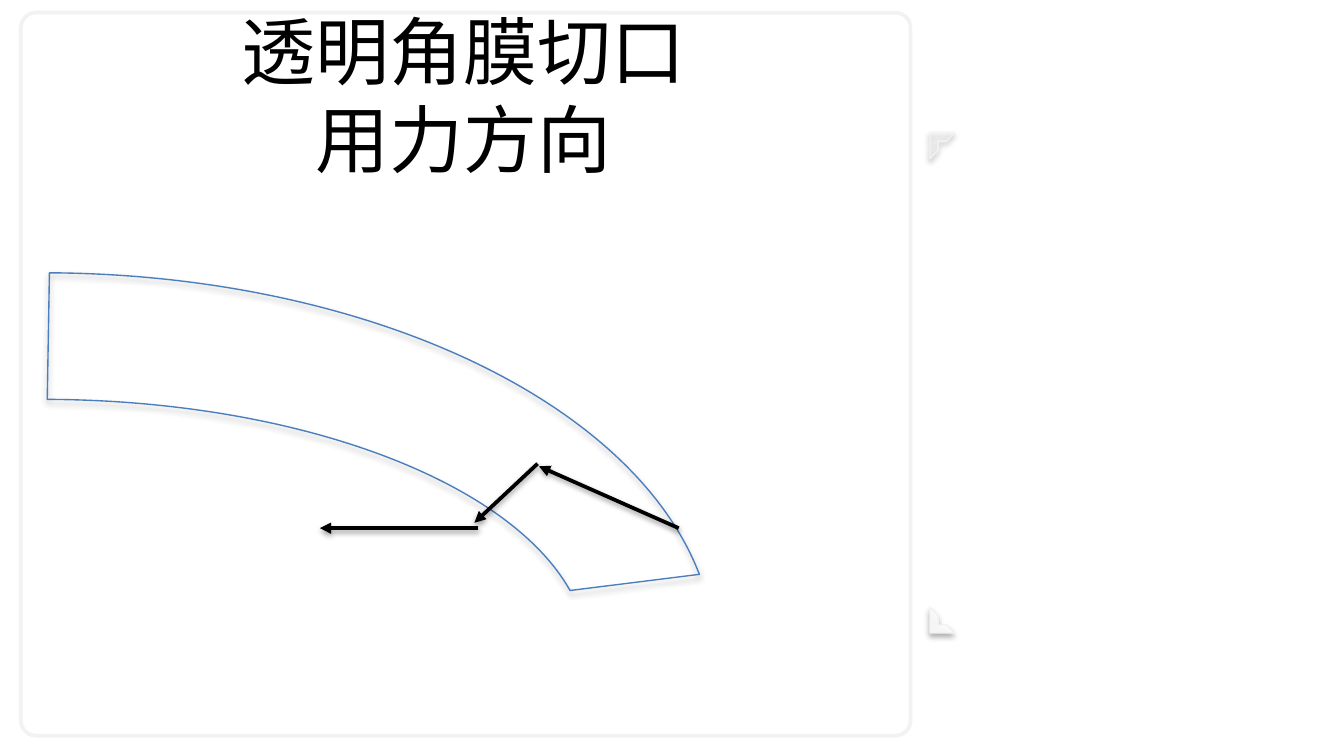
from dataclasses import dataclass
from itertools import starmap

from lxml import etree
from pptx import Presentation
from pptx import util as u
from pptx.dml import color
from pptx.enum import shapes, text
from pptx.oxml import ns

CELL = 0.1  # inches per grid column and row
COLS, ROWS = 100, 56.25


@dataclass(frozen=True)
class Theme:
    font: str = "Calibri"
    size: float = 39.6
    ink: str = "000000"
    paper: str = "FFFFFF"
    edge: str = "F2F2F2"
    arc: str = "4B7EBC"
    thin: float = 0.75
    thick: float = 2


def grid(*cells):
    return [u.Inches(n * CELL) for n in cells]


def rgb(code):
    return color.RGBColor.from_string(code)


def node(parent, tag, **attrs):
    """Append a DrawingML child element."""
    child = etree.SubElement(parent, ns.qn("a:" + tag))
    for key, val in attrs.items():
        child.set(key, str(val))
    return child


def write(frame, words, font, size, ink, align=text.PP_ALIGN.CENTER,
          anchor=text.MSO_ANCHOR.MIDDLE):
    frame.text = words
    frame.word_wrap = True
    frame.auto_size = text.MSO_AUTO_SIZE.NONE
    frame.vertical_anchor = anchor
    for para in frame.paragraphs:
        para.alignment = align
        para.line_spacing = 1.0
        for run in para.runs:
            run.font.name = font
            run.font.size = u.Pt(size)
            run.font.color.rgb = rgb(ink)


class Board:
    def __init__(self, deck, theme):
        self.theme = theme
        self.slide = deck.slides.add_slide(deck.slide_layouts[5])

    def shade(self, item, alpha=35, dist=1.8):
        """Give an item a soft shadow that falls straight down."""
        props = item._element.spPr
        effects = props.find(ns.qn("a:effectLst"))
        if effects is None:
            effects = node(props, "effectLst")
        drop = node(effects, "outerShdw", blurRad=u.Pt(3.1), dist=u.Pt(dist),
                    dir=90 * 60000, rotWithShape=0)
        tone = node(drop, "srgbClr", val=self.theme.ink)
        node(tone, "alpha", val=alpha * 1000)

    def stroke(self, item, ink, width):
        item.line.color.rgb = rgb(ink)
        item.line.width = u.Pt(width)

    def shape(self, kind, box, ink, width, fill=None, alpha=100, adj=(),
              flip=False, shadow=True):
        item = self.slide.shapes.add_shape(kind, *grid(*box))
        for i, val in enumerate(adj):
            item.adjustments[i] = val
        if fill:
            item.fill.solid()
            item.fill.fore_color.rgb = rgb(fill)
            if alpha < 100:
                tone = item._element.spPr.find(".//" + ns.qn("a:srgbClr"))
                node(tone, "alpha", val=alpha * 1000)
        else:
            item.fill.background()
        self.stroke(item, ink, width)
        item.shadow.inherit = False
        if flip:
            item._element.spPr.xfrm.set("flipV", "1")
        if shadow:
            self.shade(item)

    def title(self, words, box):
        item = self.slide.shapes.title
        item.left, item.top, item.width, item.height = grid(*box)
        look = self.theme
        write(item.text_frame, words, look.font, look.size, look.ink)
        self.slide.shapes._spTree.append(item._element)  # bring to front

    def arrow(self, start, end):
        item = self.slide.shapes.add_connector(
            shapes.MSO_CONNECTOR.STRAIGHT, *grid(*start, *end))
        self.stroke(item, self.theme.ink, self.theme.thick)
        node(item._element.spPr.find(ns.qn("a:ln")), "tailEnd", type="triangle")
        self.shade(item, alpha=38, dist=1.6)


def main():
    deck = Presentation()
    deck.slide_width, deck.slide_height = grid(COLS, ROWS)
    look = Theme()
    board = Board(deck, look)
    kinds = shapes.MSO_SHAPE

    board.shape(kinds.ROUNDED_RECTANGLE, (1.55, 0.94, 66.2, 53.8), look.edge,
                look.thick, fill=look.paper, adj=[0.021], shadow=False)
    for top, alpha, flip in ((45.2, 88, True), (9.9, 23, False)):
        board.shape(kinds.HALF_FRAME, (69.2, top, 1.8, 1.9), look.edge,
                    look.thin, fill=look.paper, alpha=alpha, flip=flip)

    board.title("透明角膜切口\v用力方向", (3.2, 2.3, 62.6, 9.4))

    cornea = (-46.8, 20.3, 100, 57.1)
    board.shape(kinds.BLOCK_ARC, cornea, look.arc, look.thin,
                adj=[162.58, 211.72, 0.165])

    forces = (
        ((50.5, 39.3), (40.1, 34.7)),
        ((40, 34.5), (35.3, 38.9)),
        ((35.6, 39.3), (23.8, 39.3)),
    )
    list(starmap(board.arrow, forces))
    deck.save("out.pptx")


if __name__ == "__main__":
    main()
